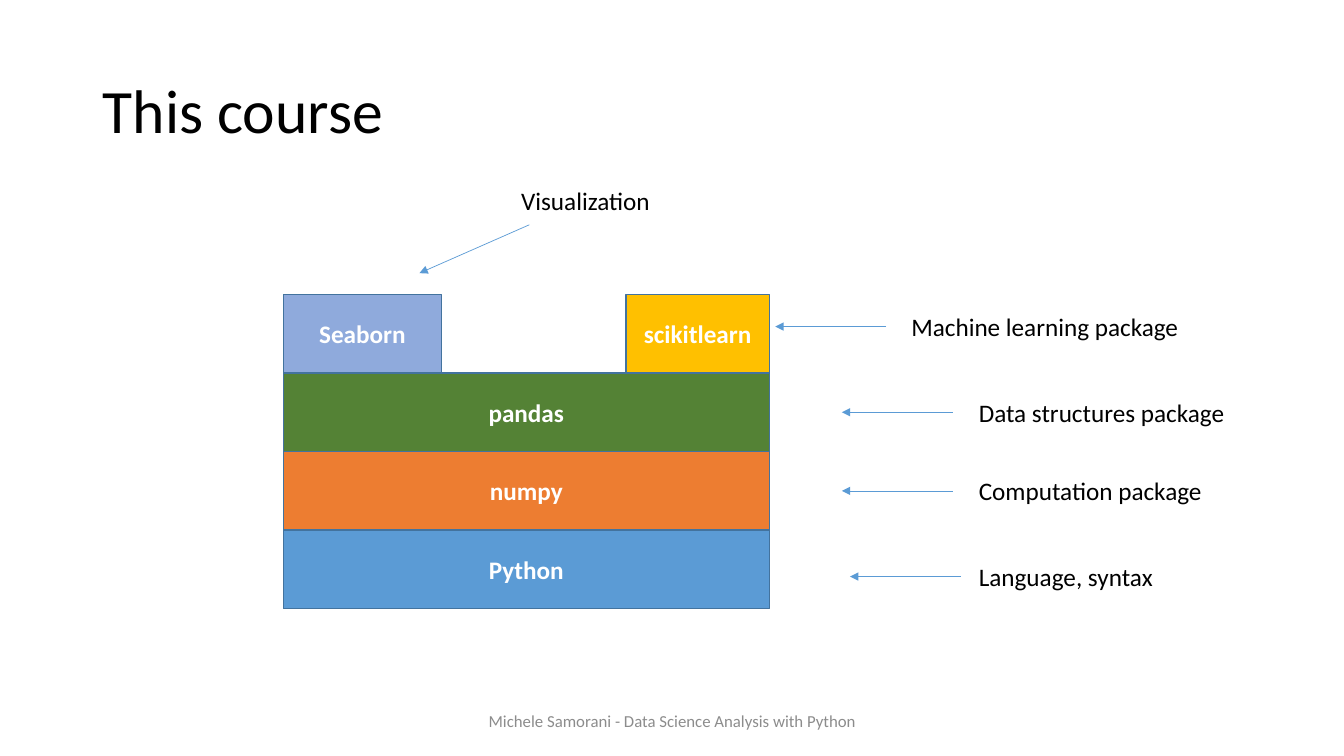
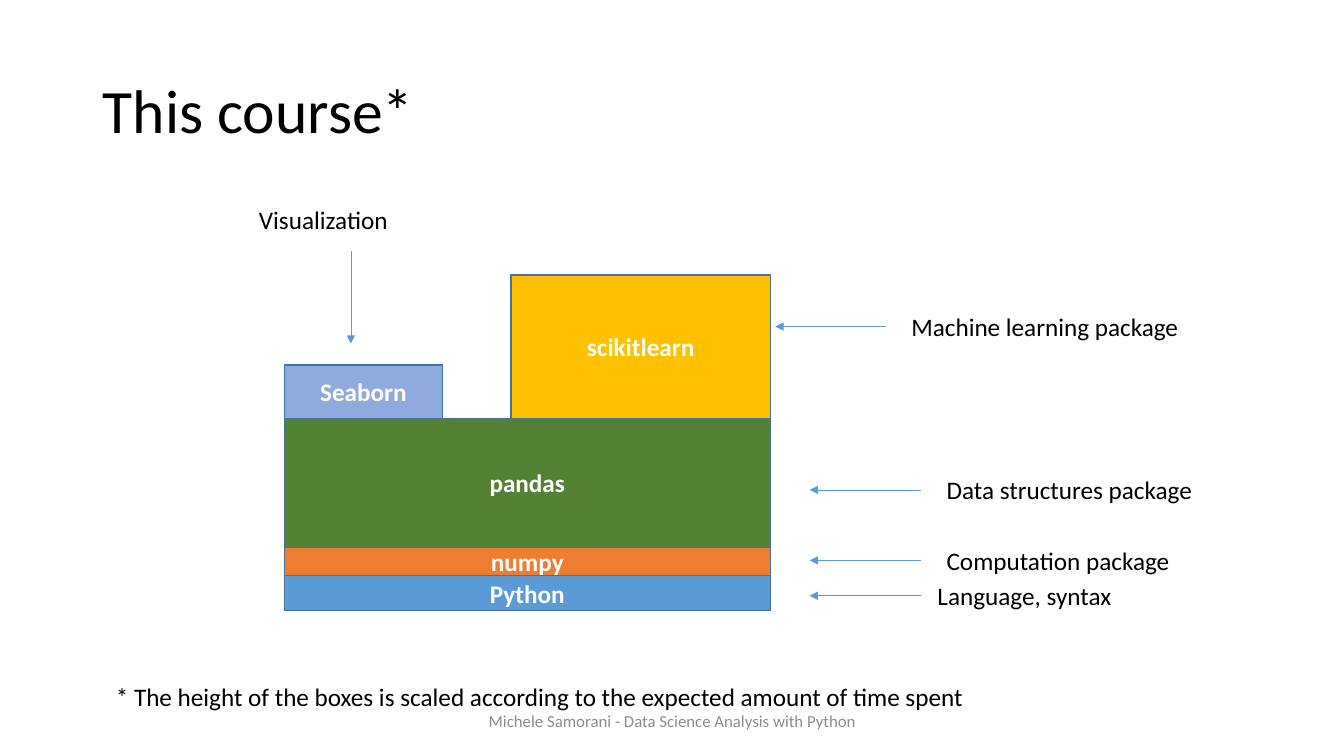
from pptx import Presentation
from pptx.dml.color import RGBColor
from pptx.enum.shapes import MSO_CONNECTOR, MSO_SHAPE
from pptx.enum.text import MSO_ANCHOR, PP_ALIGN
from pptx.oxml.ns import qn
from pptx.util import Inches, Pt
from lxml import etree

BLACK = RGBColor(0x00, 0x00, 0x00)
WHITE = RGBColor(0xFF, 0xFF, 0xFF)
GRAY = RGBColor(0x8C, 0x8C, 0x8C)
BLUE = RGBColor(0x5B, 0x9B, 0xD5)
DARK_BLUE = RGBColor(0x43, 0x73, 0x9E)
ORANGE = RGBColor(0xED, 0x7D, 0x31)
GREEN = RGBColor(0x54, 0x82, 0x35)
LAVENDER = RGBColor(0x8F, 0xAA, 0xDC)
GOLD = RGBColor(0xFF, 0xC0, 0x00)

FOOTER = "Michele Samorani - Data Science Analysis with Python"
LAYERS = [("Python", BLUE), ("numpy", ORANGE), ("pandas", GREEN)]
STACK_WIDTH = 4.82
SEABORN_WIDTH = 1.57
ARROW_LENGTH = 1.1
LABEL_HEIGHT = 0.4


class CourseDeck:
    """Holds the shared style and the slide being drawn."""

    font_name = "Calibri"

    def __init__(self):
        self.deck = Presentation()
        self.deck.slide_width = Inches(13.33)
        self.deck.slide_height = Inches(7.5)
        self.page = None

    def set_text(self, shape, text, size, color, bold=False,
                 align=PP_ALIGN.LEFT, anchor=MSO_ANCHOR.TOP):
        frame = shape.text_frame
        frame.text = text
        frame.word_wrap = True
        frame.vertical_anchor = anchor
        para = frame.paragraphs[0]
        para.alignment = align
        para.font.name = self.font_name
        para.font.size = Pt(size)
        para.font.bold = bold
        para.font.color.rgb = color
        return para

    def start_page(self, title):
        self.page = self.deck.slides.add_slide(self.deck.slide_layouts[5])
        box = self.page.shapes.title
        box.left, box.top = Inches(0.92), Inches(0.4)
        box.width, box.height = Inches(11.5), Inches(1.45)
        para = self.set_text(box, title, 44, BLACK, anchor=MSO_ANCHOR.MIDDLE)
        para.line_spacing = 0.9

    def add_footer(self):
        box = self.page.shapes.add_textbox(
            Inches(4.42), Inches(6.95), Inches(4.5), Inches(0.4))
        self.set_text(box, FOOTER, 12, GRAY, align=PP_ALIGN.CENTER,
                      anchor=MSO_ANCHOR.MIDDLE)

    def add_label(self, text, left, top, width=3):
        box = self.page.shapes.add_textbox(
            Inches(left), Inches(top), Inches(width), Inches(LABEL_HEIGHT))
        self.set_text(box, text, 18, BLACK)

    def add_block(self, text, color, left, top, width, height):
        block = self.page.shapes.add_shape(
            MSO_SHAPE.RECTANGLE, Inches(left), Inches(top),
            Inches(width), Inches(height))
        block.shadow.inherit = False
        block.fill.solid()
        block.fill.fore_color.rgb = color
        block.line.color.rgb = DARK_BLUE
        block.line.width = Pt(1)
        self.set_text(block, text, 18, WHITE, bold=True,
                      align=PP_ALIGN.CENTER, anchor=MSO_ANCHOR.MIDDLE)

    def add_arrow(self, start, end):
        arrow = self.page.shapes.add_connector(
            MSO_CONNECTOR.STRAIGHT, *(Inches(value) for value in (*start, *end)))
        arrow.line.color.rgb = BLUE
        arrow.line.width = Pt(0.5)
        properties = arrow.element.spPr
        etree.SubElement(properties.find(qn("a:ln")), qn("a:tailEnd"),
                         type="triangle")
        etree.SubElement(properties, qn("a:effectLst"))

    def add_stack(self, left, bottom, heights, seaborn_height,
                  scikit_width, scikit_height):
        # Layers rise from the bottom
        top = bottom
        for (name, color), height in zip(LAYERS, heights):
            top -= height
            self.add_block(name, color, left, top, STACK_WIDTH, height)
        # Two packages stand on the top layer, at its left and right ends
        self.add_block("Seaborn", LAVENDER, left, top - seaborn_height,
                       SEABORN_WIDTH, seaborn_height)
        self.add_block("scikitlearn", GOLD, left + STACK_WIDTH - scikit_width,
                       top - scikit_height, scikit_width, scikit_height)

    def add_callout(self, text, tip, middle, label_left):
        self.add_arrow((tip + ARROW_LENGTH, middle), (tip, middle))
        self.add_label(text, label_left, middle - LABEL_HEIGHT / 2)


def main():
    course = CourseDeck()

    # Equal layers
    course.start_page("This course")
    course.add_stack(2.81, 6.04, [0.78] * 3, 0.78, 1.42, 0.78)
    for callout in [("Language, syntax", 8.43, 5.72, 9.61),
                    ("Computation package", 8.35, 4.87, 9.61),
                    ("Data structures package", 8.35, 4.09, 9.61),
                    ("Machine learning package", 7.69, 3.24, 8.94)]:
        course.add_callout(*callout)
    course.add_arrow((5.25, 2.23), (4.16, 2.71))
    course.add_label("Visualization", 5.07, 1.79)
    course.add_footer()

    # Layers scaled by time spent
    course.start_page("This course*")
    course.add_stack(2.82, 6.06, [0.35, 0.28, 1.28], 0.53, 2.57, 1.42)
    for callout in [("Language, syntax", 8.03, 5.91, 9.2),
                    ("Computation package", 8.03, 5.56, 9.29),
                    ("Data structures package", 8.03, 4.86, 9.29),
                    ("Machine learning package", 7.69, 3.24, 8.94)]:
        course.add_callout(*callout)
    course.add_arrow((3.48, 2.49), (3.48, 3.41))
    course.add_label("Visualization", 2.47, 1.98)
    course.add_label("* The height of the boxes is scaled according to "
                     "the expected amount of time spent", 1.05, 6.71, 11.58)
    course.add_footer()

    course.deck.save("out.pptx")


if __name__ == "__main__":
    main()
